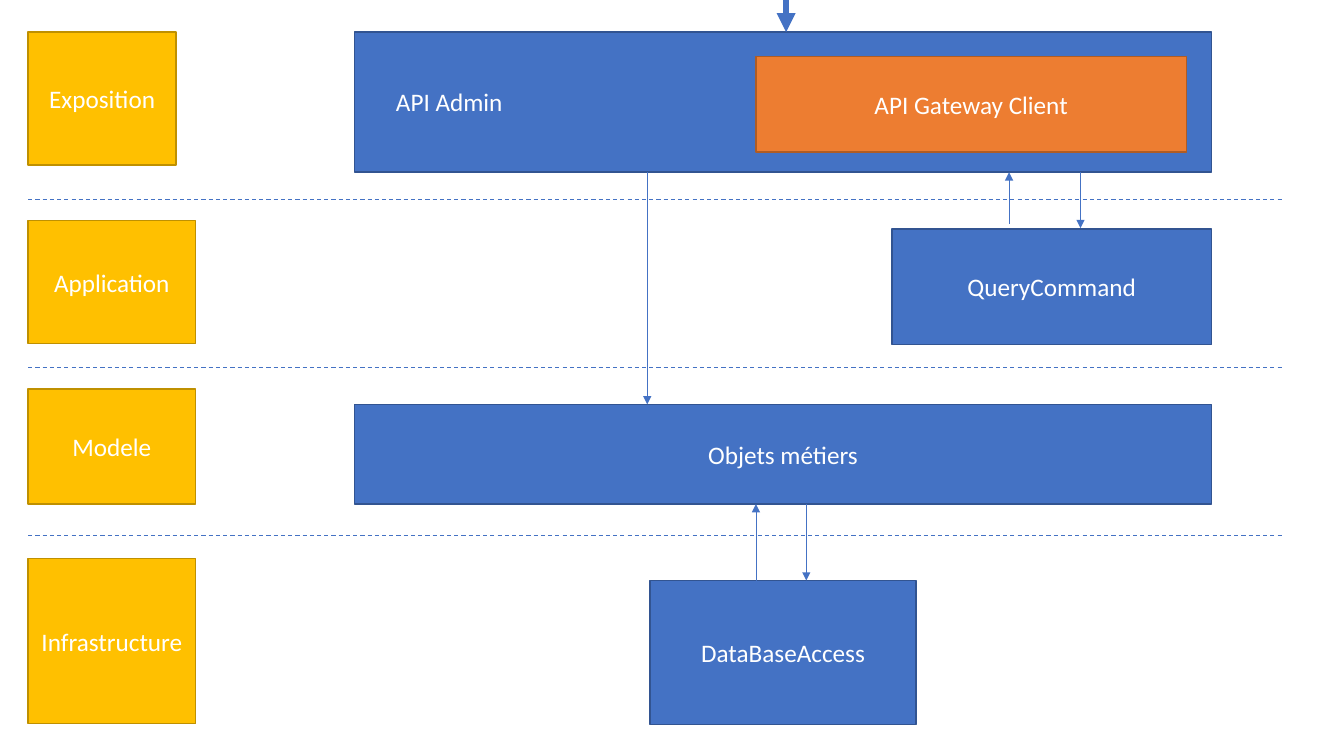
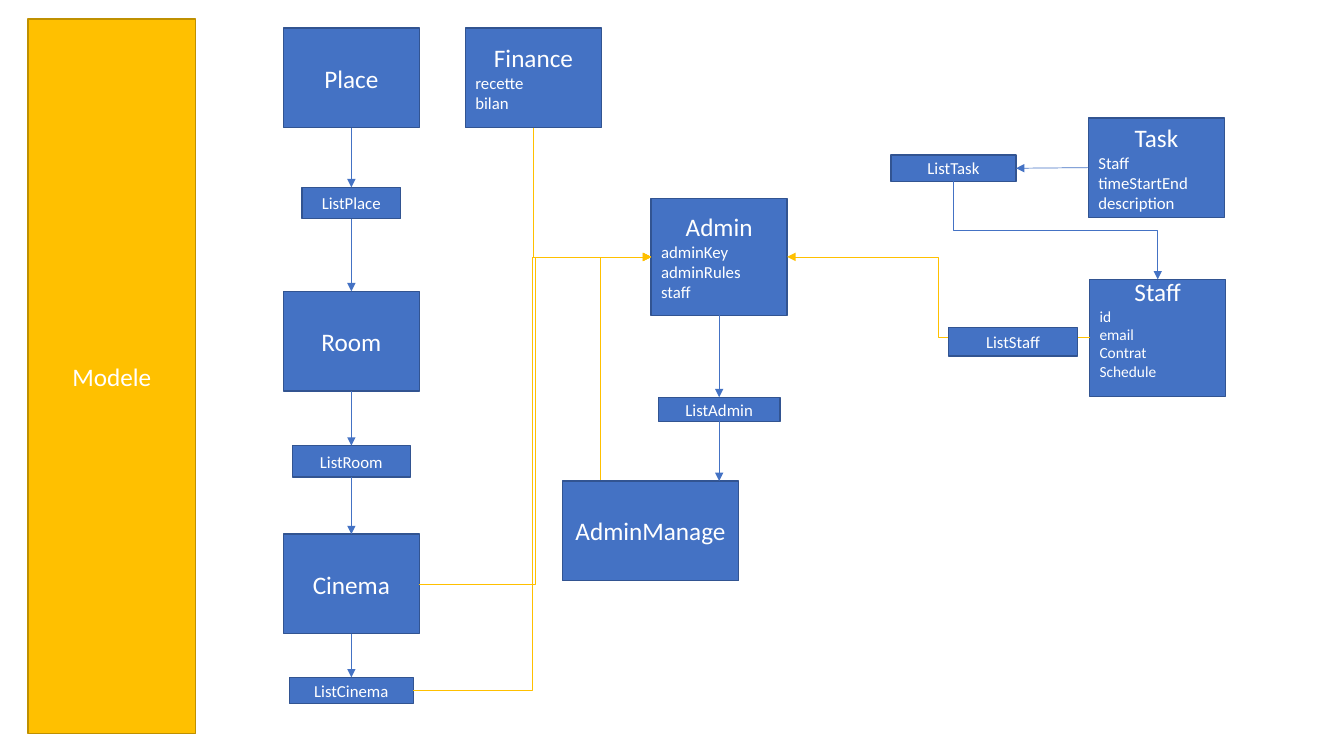
from lxml import etree
from pptx import Presentation
from pptx import util as u
from pptx.dml.color import RGBColor
from pptx.enum import dml, shapes, text
from pptx.oxml.ns import qn

BLUE = RGBColor(0x44, 0x72, 0xC4)
NAVY = RGBColor(0x32, 0x54, 0x91)
GOLD = RGBColor(0xFF, 0xC0, 0x00)
OCHRE = RGBColor(0xBF, 0x90, 0x00)
ORANGE = RGBColor(0xED, 0x7D, 0x31)
RUST = RGBColor(0xAF, 0x5C, 0x24)
WHITE = RGBColor(0xFF, 0xFF, 0xFF)

EDGE = {BLUE: NAVY, GOLD: OCHRE, ORANGE: RUST}
FRAME = {"word_wrap": True, "vertical_anchor": text.MSO_ANCHOR.MIDDLE}
LABEL = {"word_wrap": True, "auto_size": text.MSO_AUTO_SIZE.SHAPE_TO_FIT_TEXT}
TOP, LEFT, BOTTOM, RIGHT = range(4)  # connection sites of a rectangle
MID, SIDE = text.PP_ALIGN.CENTER, text.PP_ALIGN.LEFT

BAND_X, BAND_W = 0.71, 4.22
CARD_W, CARD_H = 3.43, 2.51


def apply(item, values):
    for name, value in values.items():
        setattr(item, name, value)


def spot(shape, side):
    """Return the middle of one side of a shape, in centimetres."""
    x, y, w, h = (v.cm for v in (shape.left, shape.top, shape.width, shape.height))
    return {TOP: (x + w / 2, y), LEFT: (x, y + h / 2),
            BOTTOM: (x + w / 2, y + h), RIGHT: (x + w, y + h / 2)}[side]


class Deck:
    """Holds the file and the current slide; all lengths are in centimetres."""

    def __init__(self):
        self.file = Presentation()
        apply(self.file, {"slide_width": u.Cm(33.87), "slide_height": u.Cm(19.05)})

    def page(self):
        blank = self.file.slide_layouts[6]
        self.items = self.file.slides.add_slide(blank).shapes

    def put(self, para, words, size, align):
        """Add styled words to a paragraph."""
        para.alignment = align
        run = para.add_run()
        run.text = words
        apply(run.font, {"name": "Calibri", "size": u.Pt(size)})
        run.font.color.rgb = WHITE

    def box(self, x, y, w, h, title="", fill=BLUE, size=18, rows=(), small=12):
        shape = self.items.add_shape(shapes.MSO_SHAPE.RECTANGLE, *map(u.Cm, (x, y, w, h)))
        shape.shadow.inherit = False
        shape.fill.solid()
        shape.fill.fore_color.rgb = fill
        shape.line.color.rgb = EDGE[fill]
        shape.line.width = u.Pt(1)
        frame = shape.text_frame
        apply(frame, FRAME)
        if title:
            self.put(frame.paragraphs[0], title, size, MID)
        for row in rows:
            self.put(frame.add_paragraph(), row, small, SIDE)
        return shape

    def band(self, title, y, h, w=BAND_W):
        self.box(BAND_X, y, w, h, title, GOLD)

    def card(self, x, y, title, rows=(), h=CARD_H, **more):
        return self.box(x, y, CARD_W, h, title, rows=rows, **more)

    def tag(self, mid, y, w, h, title):
        """Add a small list box centred on the x position mid."""
        return self.box(mid - w / 2, y, w, h, title, size=12)

    def label(self, x, y, w, h, words):
        frame = self.items.add_textbox(*map(u.Cm, (x, y, w, h))).text_frame
        apply(frame, LABEL)
        self.put(frame.paragraphs[0], words, 18, SIDE)

    def wire(self, start, end, color=BLUE, width=0.5, dash=None, head=True, bend=False):
        kind = shapes.MSO_CONNECTOR.ELBOW if bend else shapes.MSO_CONNECTOR.STRAIGHT
        line = self.items.add_connector(kind, *map(u.Cm, (*start, *end)))
        line.line.color.rgb = color
        apply(line.line, {"width": u.Pt(width), "dash_style": dash})
        props = line._element.spPr
        if head:
            etree.SubElement(props.find(qn("a:ln")), qn("a:tailEnd"), type="triangle")
        etree.SubElement(props, qn("a:effectLst"))
        return line

    def join(self, one, side, two, site):
        line = self.wire(spot(one, side), spot(two, site))
        line.begin_connect(one, side)
        line.end_connect(two, site)

    def drop(self, start, end, color=BLUE, corner=False):
        """Add an elbow that leaves vertically: its frame is turned by 270 degrees."""
        (x, y), (right, low) = start, end
        mid, row = (x + right) / 2, (y + low) / 2
        dx, dy = (right - x) / 2, (low - y) / 2
        line = self.wire((mid + dy, row - dx), (mid - dy, row + dx), color, bend=True)
        props = line._element.spPr
        props.find(qn("a:xfrm")).set("rot", str(270 * 60000))
        if corner:
            props.find(qn("a:prstGeom")).set("prst", "bentConnector2")


def layers(deck):
    deck.page()
    for y in (5.03, 9.25, 13.49):
        deck.wire((BAND_X, y), (32.33, y), width=0.75, dash=dml.MSO_LINE.DASH, head=False)
    deck.band("Exposition", 0.81, 3.35, 3.73)
    deck.band("Application", 5.56, 3.1)
    deck.band("Modele", 9.8, 2.9)
    deck.band("Infrastructure", 14.07, 4.17)

    deck.box(8.94, 0.81, 21.59, 3.53)
    deck.box(22.48, 5.77, 8.05, 2.92, "QueryCommand")
    deck.box(8.94, 10.19, 21.59, 2.51, "Objets métiers")
    deck.box(16.38, 14.63, 6.71, 3.63, "DataBaseAccess")
    deck.box(19.05, 1.42, 10.85, 2.41, "API Gateway Client", ORANGE)
    deck.label(9.73, 2.06, 4.27, 1.02, "API Admin")

    deck.wire((19.81, 0), (19.81, 0.81), width=4.5)
    for x, y, end in ((27.23, 4.34, 5.75), (25.43, 5.64, 4.34), (16.31, 4.34, 10.19),
                      (20.32, 12.7, 14.63), (19.05, 14.63, 12.7)):
        deck.wire((x, y), (x, end))


def model(deck):
    deck.page()
    deck.band("Modele", 0.48, 18.01)
    left = 7.14
    mid = left + CARD_W / 2
    chain = [
        deck.card(left, 0.71, "Place"),
        deck.tag(mid, 4.72, 2.49, 0.79, "ListPlace"),
        deck.card(left, 7.34, "Room"),
        deck.tag(mid, 11.23, 2.97, 0.79, "ListRoom"),
        deck.card(left, 13.46, "Cinema"),
        deck.tag(mid, 17.07, 3.12, 0.66, "ListCinema"),
    ]
    for one, two in zip(chain, chain[1:]):
        deck.join(one, BOTTOM, two, TOP)

    money = deck.card(11.73, 0.71, "Finance", ("recette", "bilan"))
    admin = deck.card(16.41, 5, "Admin", ("adminKey", "adminRules", "staff"), 2.95)
    task = deck.card(27.43, 2.97, "Task", ("Staff", "timeStartEnd", "description"))
    staff = deck.card(27.46, 7.04, "Staff", ("id", "email", "Contrat", "Schedule"),
                      2.95, small=11)
    staff.text_frame.margin_bottom = u.Cm(0.6)

    entry = spot(admin, LEFT)
    for one in chain[-2:]:
        deck.wire(spot(one, RIGHT), entry, GOLD, bend=True)
    deck.wire(spot(staff, LEFT), spot(admin, RIGHT), GOLD, bend=True)
    deck.drop(spot(money, BOTTOM), entry, GOLD, corner=True)
    deck.drop((15.14, 12.12), entry, GOLD, corner=True)

    deck.box(14.17, 12.12, 4.45, CARD_H, "AdminManage")
    hub = spot(admin, BOTTOM)[0]
    admins = deck.tag(hub, 10.01, 3.07, 0.61, "ListAdmin")
    tasks = deck.tag(24.03, 3.91, 3.15, 0.66, "ListTask")
    deck.tag(25.53, 8.26, 3.25, 0.71, "ListStaff")
    deck.join(admin, BOTTOM, admins, TOP)
    deck.wire(spot(admins, BOTTOM), (hub, 12.12))
    deck.drop(spot(tasks, BOTTOM), spot(staff, TOP))
    deck.join(task, LEFT, tasks, RIGHT)


def main():
    deck = Deck()
    layers(deck)
    model(deck)
    deck.file.save("out.pptx")


if __name__ == "__main__":
    main()
